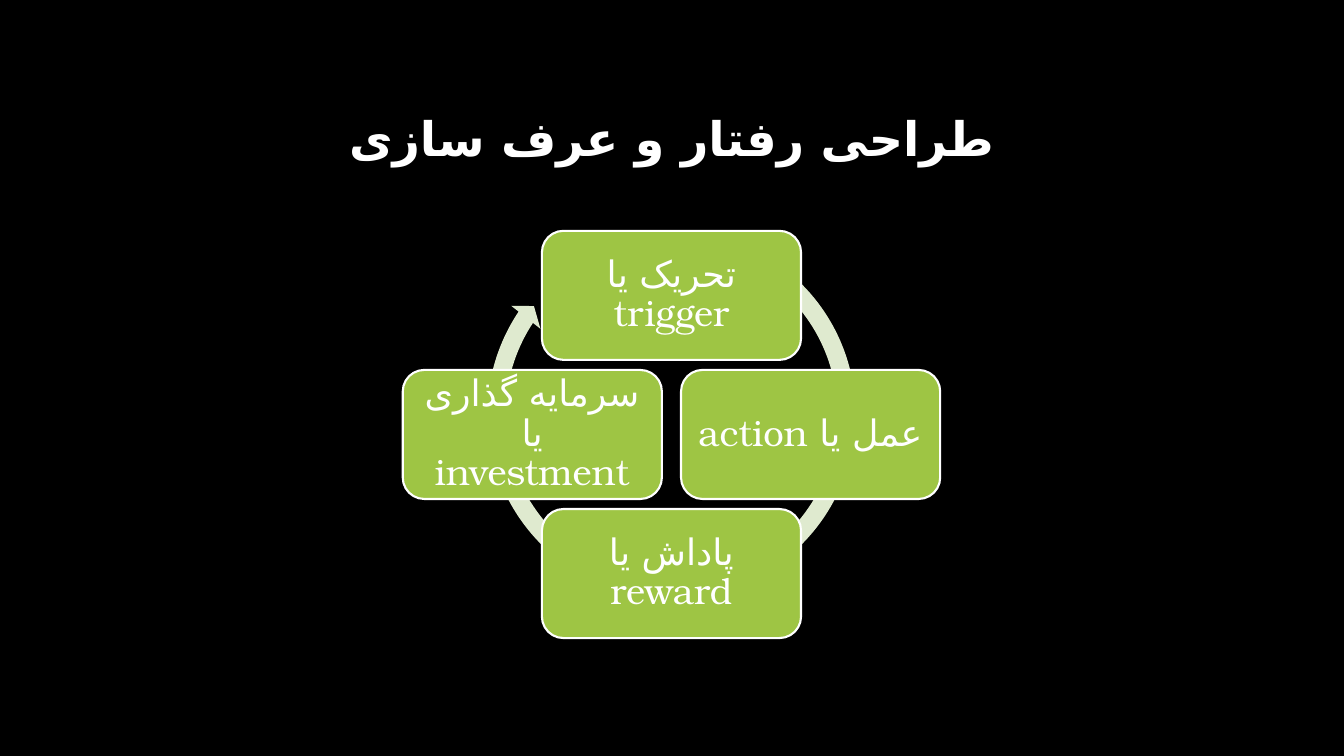
from dataclasses import dataclass

from lxml.etree import SubElement
from pptx import Presentation
from pptx.dml.color import RGBColor
from pptx.enum.shapes import MSO_SHAPE
from pptx.enum.text import MSO_ANCHOR, PP_ALIGN
from pptx.oxml.ns import qn
from pptx.util import Inches, Pt

FONT = "TeX Gyre Bonum"
PERSIAN_FONT = "DejaVu Sans"
COLORS = {"background": "000000", "text": "FFFFFF", "box": "9EC544", "arrow": "DFEACF"}
CENTER_X, CENTER_Y = 6.66, 4.31
BOX_W, BOX_H = 2.57, 1.28
RADIUS = 1.38
ARROW_SIZE = 3.84
ARROW_TOP = 2.19


@dataclass
class Stage:
    text: str
    dx: int
    dy: int


STAGES = [
    Stage("تحریک یا trigger", 0, -1),
    Stage("عمل یا action", 1, 0),
    Stage("پاداش یا reward", 0, 1),
    Stage("سرمایه گذاری یا investment", -1, 0),
]


def color(name: str) -> RGBColor:
    return RGBColor.from_string(COLORS[name])


def write(sp, text: str, size: int, bold: bool = False):
    tf = sp.text_frame
    tf.word_wrap = True
    tf.vertical_anchor = MSO_ANCHOR.MIDDLE
    p = tf.paragraphs[0]
    p.alignment = PP_ALIGN.CENTER
    p.line_spacing = 0.9
    r = p.add_run()
    r.text = text
    r.font.size = Pt(size)
    r.font.bold = bold
    r.font.name = FONT
    r.font.color.rgb = color("text")
    SubElement(r.font._element, qn("a:cs")).set("typeface", PERSIAN_FONT)
    return p


def add_title(s, text: str) -> None:
    sp = s.shapes.title
    sp.left, sp.top = Inches(1), Inches(0.67)
    sp.width, sp.height = Inches(11.32), Inches(1.45)
    write(sp, text, 34, bold=True)


def add_cycle_arrow(s) -> None:
    sp = s.shapes.add_shape(
        MSO_SHAPE.CIRCULAR_ARROW,
        Inches(CENTER_X - ARROW_SIZE / 2), Inches(ARROW_TOP),
        Inches(ARROW_SIZE), Inches(ARROW_SIZE),
    )
    for i, value in enumerate((0.047, 2.729, 128.194, 180.391, 0.048)):
        sp.adjustments[i] = value
    sp.shadow.inherit = False
    sp.fill.solid()
    sp.fill.fore_color.rgb = color("arrow")
    sp.line.fill.background()


def add_stage(s, stage: Stage) -> None:
    sp = s.shapes.add_shape(
        MSO_SHAPE.ROUNDED_RECTANGLE,
        Inches(CENTER_X + stage.dx * RADIUS - BOX_W / 2),
        Inches(CENTER_Y + stage.dy * RADIUS - BOX_H / 2),
        Inches(BOX_W), Inches(BOX_H),
    )
    sp.shadow.inherit = False
    sp.fill.solid()
    sp.fill.fore_color.rgb = color("box")
    sp.line.color.rgb = color("text")
    sp.line.width = Pt(1.5)
    tf = sp.text_frame
    tf.margin_left = tf.margin_right = tf.margin_top = tf.margin_bottom = Inches(0.11)
    p = write(sp, stage.text, 26)
    p._p.get_or_add_pPr().set("rtl", "1")


def main() -> None:
    prs = Presentation()
    prs.slide_width, prs.slide_height = Inches(13.33), Inches(7.5)
    s = prs.slides.add_slide(prs.slide_layouts[5])
    s.background.fill.solid()
    s.background.fill.fore_color.rgb = color("background")
    add_title(s, "طراحی رفتار و عرف سازی")
    add_cycle_arrow(s)
    for stage in STAGES:
        add_stage(s, stage)
    prs.save("out.pptx")


if __name__ == "__main__":
    main()
